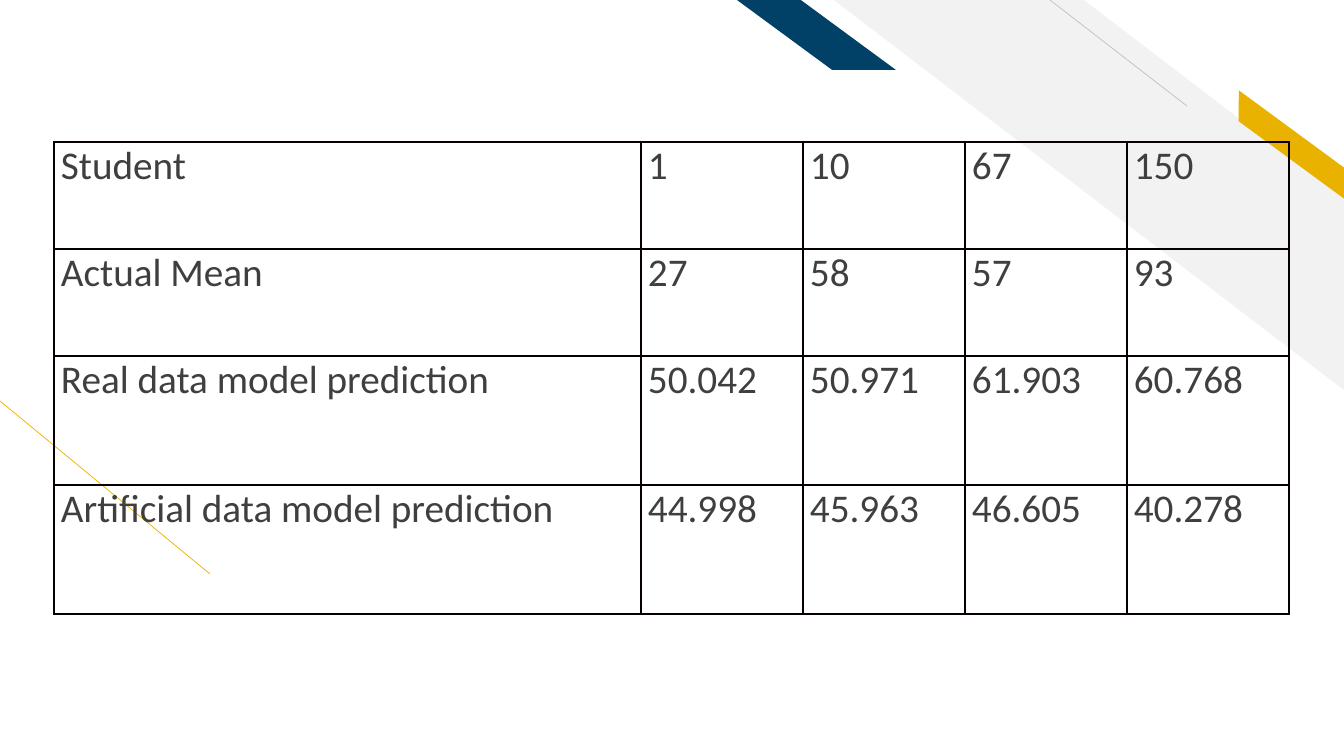
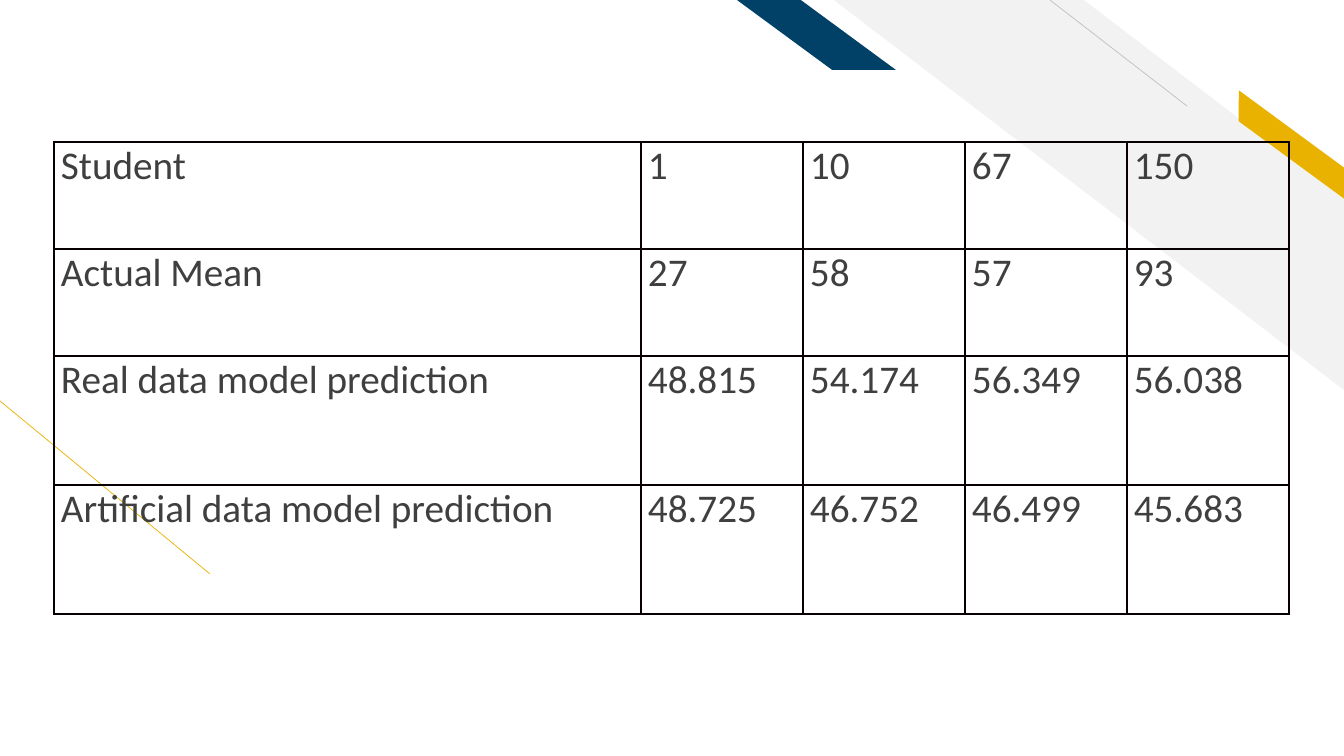
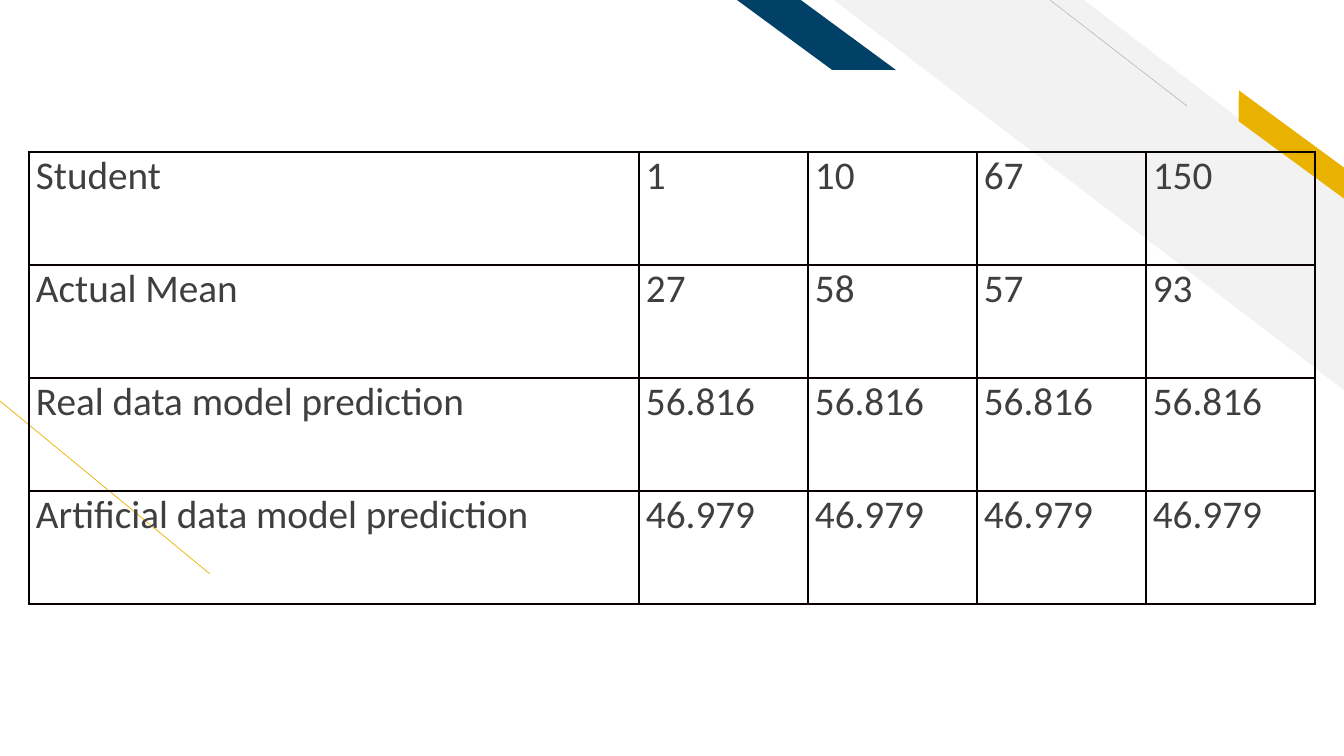
import dataclasses

import lxml.etree
import pptx
import pptx.dml.color
import pptx.enum.shapes
import pptx.oxml.ns
import pptx.util

KIND = pptx.enum.shapes.MSO_SHAPE
WIDE, HIGH = 1344, 756
SCALE = 12192000 / WIDE


@dataclasses.dataclass(frozen=True)
class Theme:
    navy: str = "014067"
    gold: str = "EAB200"
    pale: str = "F2F2F2"
    gray: str = "BFBFBF"
    ink: str = "3F3F3F"
    rule: str = "080000"
    body: str = "Calibri"
    cell: int = 28
    thin: float = 0.5
    edge: int = 1


THEME = Theme()

LABELS = ["Student", "Actual Mean", "Real data model prediction",
          "Artificial data model prediction"]
PUPILS = ["1", "10", "67", "150"]
MEANS = ["27", "58", "57", "93"]

TALL = ((54, 142), [587] + [162] * 4, [107, 107, 129, 129])
EVEN = ((29, 152), [610] + [169] * 4, [113] * 4)

PAGES = [
    (TALL, ["50.042", "50.971", "61.903", "60.768"],
     ["44.998", "45.963", "46.605", "40.278"]),
    (TALL, ["48.815", "54.174", "56.349", "56.038"],
     ["48.725", "46.752", "46.499", "45.683"]),
    (EVEN, ["56.816"] * 4, ["46.979"] * 4),
]


def px(count):
    return pptx.util.Emu(round(count * SCALE))


def tint(code):
    return pptx.dml.color.RGBColor.from_string(code)


def tag(name):
    return pptx.oxml.ns.qn("a:" + name)


def write(frame, text):
    run = frame.paragraphs[0].add_run()
    run.text = text
    run.font.name = THEME.body
    run.font.size = pptx.util.Pt(THEME.cell)
    run.font.color.rgb = tint(THEME.ink)


def band(slide, kind, box, code, skew, turn=0):
    shape = slide.shapes.add_shape(kind, *map(px, box))
    shape.shadow.inherit = False
    shape.fill.solid()
    shape.fill.fore_color.rgb = tint(code)
    shape.line.fill.background()
    shape.adjustments[0] = skew
    shape.rotation = turn
    shape.element.spPr.get_or_add_xfrm().set("flipH", "1")


def stroke(slide, start, end, code):
    line = slide.shapes.add_connector(
        pptx.enum.shapes.MSO_CONNECTOR.STRAIGHT, *map(px, start + end))
    line.line.color.rgb = tint(code)
    line.line.width = pptx.util.Pt(THEME.thin)
    lxml.etree.SubElement(line.element.spPr, tag("effectLst"))


def corner(slide, box):
    left, top, wide, high = box
    band(slide, KIND.DIAGONAL_STRIPE, box, THEME.pale, 0.51)
    stroke(slide, (left + 353, top + 106), (left + 216, top), THEME.gray)
    band(slide, KIND.PARALLELOGRAM, (left + 383, top + 132, 149, 25),
         THEME.gold, 0.72, 36.3)


def share(slide, layout):
    stroke(slide, (210, 574), (0, 401), THEME.gold)
    corner(slide, (834, 0, 510, 390))
    band(slide, KIND.PARALLELOGRAM, (737, 0, 159, 70), THEME.navy, 1.36)
    for shape in list(slide.shapes):
        layout.shapes.element.append(shape.element)


def frame_cell(cell):
    props = cell._tc.get_or_add_tcPr()
    for side in ("lnL", "lnR", "lnT", "lnB"):
        line = lxml.etree.SubElement(
            props, tag(side), w=str(pptx.util.Pt(THEME.edge)))
        fill = lxml.etree.SubElement(line, tag("solidFill"))
        lxml.etree.SubElement(fill, tag("srgbClr"), val=THEME.rule)
    cell.fill.background()


def grid(slide, place, cols, rows, data):
    box = (*place, sum(cols), sum(rows))
    table = slide.shapes.add_table(
        len(rows), len(cols), *map(px, box)).table
    table.first_row = False
    table.horz_banding = False
    for col, wide in zip(table.columns, cols):
        col.width = px(wide)
    for row, high, texts in zip(table.rows, rows, data):
        row.height = px(high)
        for cell, text in zip(row.cells, texts):
            cell.margin_left = cell.margin_right = px(7)
            cell.margin_top = cell.margin_bottom = 0
            frame_cell(cell)
            write(cell.text_frame, text)


def main():
    deck = pptx.Presentation()
    deck.slide_width, deck.slide_height = px(WIDE), px(HIGH)
    blank = deck.slide_layouts[6]
    for index, (form, real, made) in enumerate(PAGES):
        slide = deck.slides.add_slide(blank)
        if index == 0:
            share(slide, blank)
        values = [PUPILS, MEANS, real, made]
        data = [[label, *row] for label, row in zip(LABELS, values)]
        grid(slide, *form, data)
    deck.save("out.pptx")


if __name__ == "__main__":
    main()
